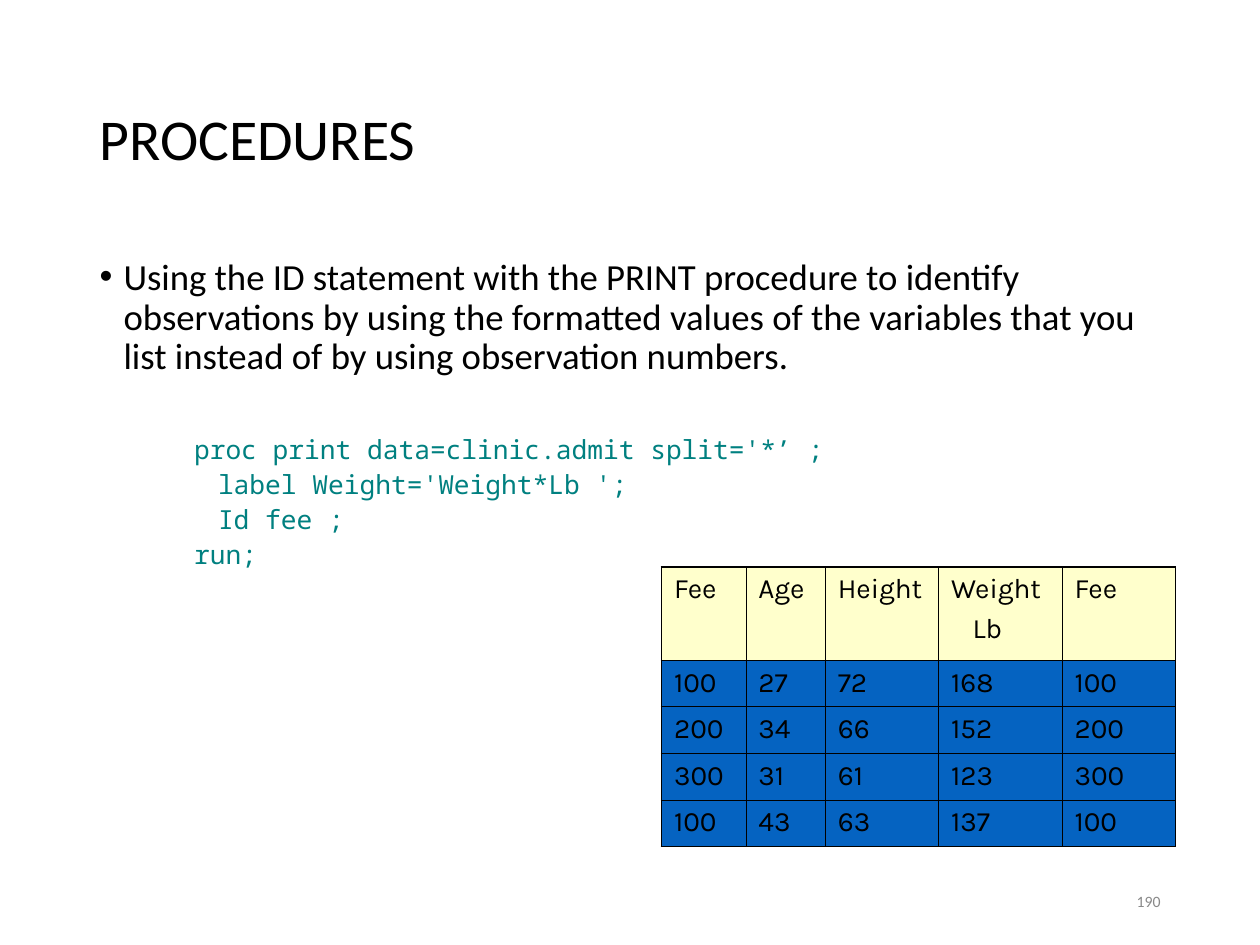
from dataclasses import dataclass

from lxml.etree import SubElement
from pptx import Presentation
from pptx.dml.color import RGBColor
from pptx.enum.text import MSO_ANCHOR, MSO_AUTO_SIZE, PP_ALIGN
from pptx.oxml.ns import qn
from pptx.util import Inches, Pt

HEADING = "PROCEDURES"
EXPLANATION = (
    "Using the ID statement with the PRINT procedure to identify observations "
    "by using the formatted values of the variables that you list instead of "
    "by using observation numbers."
)
CODE = [
    "proc print data=clinic.admit split='*’ ;",
    "\tlabel Weight='Weight*Lb ';",
    "\tId fee ;",
    "run;",
]
HEADERS = [("Fee",), ("Age",), ("Height",), ("Weight", "Lb"), ("Fee",)]
PATIENTS = [
    (100, 27, 72, 168, 100),
    (200, 34, 66, 152, 200),
    (300, 31, 61, 123, 300),
    (100, 43, 63, 137, 100),
]
PAGE_NUMBER = "190"


@dataclass(frozen=True)
class Theme:
    ink: str = "000000"
    code: str = "008080"
    muted: str = "898989"
    header_fill: str = "FFFFCC"
    row_fill: str = "0563C1"
    sans: str = "Calibri"
    mono: str = "Noto Sans Mono"
    grid_font: str = "Karla"
    title_size: float = 33
    body_size: float = 21
    code_size: float = 15
    grid_size: float = 16
    page_size: float = 9
    outer_line: float = 1.08
    inner_line: float = 0.45


THEME = Theme()
SLIDE_WIDTH, SLIDE_HEIGHT = Inches(10), Inches(7.5)
LEFT, CONTENT = 0.069, 0.863
HANG = 0.19
TITLE_AREA = (LEFT, 0.053, CONTENT, 0.193)
BODY_AREA = (LEFT, 0.267, CONTENT, 0.635)
PAGE_AREA = (0.706, 0.927, 0.225, 0.053)
TABLE_AREA = (0.525, 0.6, 0.408, 0.296)
COLUMN_PARTS = [67, 63, 90, 98, 90]
ROW_PARTS = [2, 1, 1, 1, 1]


def area(left, top, width, height):
    return (int(left * SLIDE_WIDTH), int(top * SLIDE_HEIGHT),
            int(width * SLIDE_WIDTH), int(height * SLIDE_HEIGHT))


def write(frame, text, *, font, size, color=THEME.ink, first=False, level=0,
          align=PP_ALIGN.LEFT, before=0, spacing=1.0, margin=0, hang=0, bullet=None):
    paragraph = frame.paragraphs[0] if first else frame.add_paragraph()
    properties = paragraph._p.get_or_add_pPr()
    properties.set("marL", str(Inches(margin)))
    properties.set("indent", str(-Inches(hang)))
    if bullet:
        SubElement(properties, qn("a:buFont"), typeface="Arial")
        SubElement(properties, qn("a:buChar"), char=bullet)
    else:
        SubElement(properties, qn("a:buNone"))
    paragraph.level = level
    paragraph.alignment = align
    paragraph.space_before = Pt(before)
    paragraph.line_spacing = spacing
    run = paragraph.add_run()
    run.text = text
    run.font.name = font
    run.font.size = Pt(size)
    run.font.color.rgb = RGBColor.from_string(color)


def place(holder, position, anchor):
    holder.left, holder.top, holder.width, holder.height = area(*position)
    frame = holder.text_frame
    frame.auto_size = MSO_AUTO_SIZE.NONE
    frame.word_wrap = True
    frame.vertical_anchor = anchor
    return frame


def draw_borders(cell, outer_sides):
    properties = cell._tc.get_or_add_tcPr()
    for side in "LRTB":
        weight = THEME.outer_line if side in outer_sides else THEME.inner_line
        line = SubElement(properties, qn(f"a:ln{side}"), w=str(Pt(weight)))
        SubElement(SubElement(line, qn("a:solidFill")), qn("a:srgbClr"), val=THEME.ink)


def add_patients(slide):
    rows = HEADERS, *PATIENTS
    left, top, width, height = area(*TABLE_AREA)
    table = slide.shapes.add_table(
        len(rows), len(HEADERS), left, top, width, height).table
    table.first_row = table.horz_banding = False
    for column, part in zip(table.columns, COLUMN_PARTS):
        column.width = width * part // sum(COLUMN_PARTS)
    for row, part in zip(table.rows, ROW_PARTS):
        row.height = height * part // sum(ROW_PARTS)
    last_row, last_column = len(rows) - 1, len(HEADERS) - 1
    for r, values in enumerate(rows):
        for c, value in enumerate(values):
            cell = table.cell(r, c)
            edges = {"T": r == 0, "B": r == last_row, "L": c == 0, "R": c == last_column}
            draw_borders(cell, [side for side, outer in edges.items() if outer])
            cell.fill.solid()
            cell.fill.fore_color.rgb = RGBColor.from_string(
                THEME.row_fill if r else THEME.header_fill)
            for n, line in enumerate((value,) if r else value):
                write(cell.text_frame, str(line), first=n == 0, font=THEME.grid_font,
                      size=THEME.grid_size, before=4 if n else 0, margin=0.17 * n)


def main():
    deck = Presentation()
    deck.slide_width, deck.slide_height = SLIDE_WIDTH, SLIDE_HEIGHT
    slide = deck.slides.add_slide(deck.slide_layouts[1])

    title = place(slide.shapes.title, TITLE_AREA, MSO_ANCHOR.MIDDLE)
    write(title, HEADING, first=True, font=THEME.sans, size=THEME.title_size, spacing=0.9)

    body = place(slide.placeholders[1], BODY_AREA, MSO_ANCHOR.TOP)
    write(body, EXPLANATION, first=True, font=THEME.sans, size=THEME.body_size,
          spacing=0.9, margin=HANG, hang=HANG, bullet="•")
    for n, statement in enumerate(CODE):
        write(body, statement, font=THEME.mono, size=THEME.code_size, color=THEME.code,
              level=2, before=3.7 if n else 34, spacing=0.9, margin=0.94, hang=HANG)

    page = place(slide.shapes.add_textbox(*area(*PAGE_AREA)), PAGE_AREA, MSO_ANCHOR.MIDDLE)
    write(page, PAGE_NUMBER, first=True, font=THEME.sans, size=THEME.page_size,
          color=THEME.muted, align=PP_ALIGN.RIGHT)

    add_patients(slide)
    deck.save("out.pptx")


if __name__ == "__main__":
    main()
